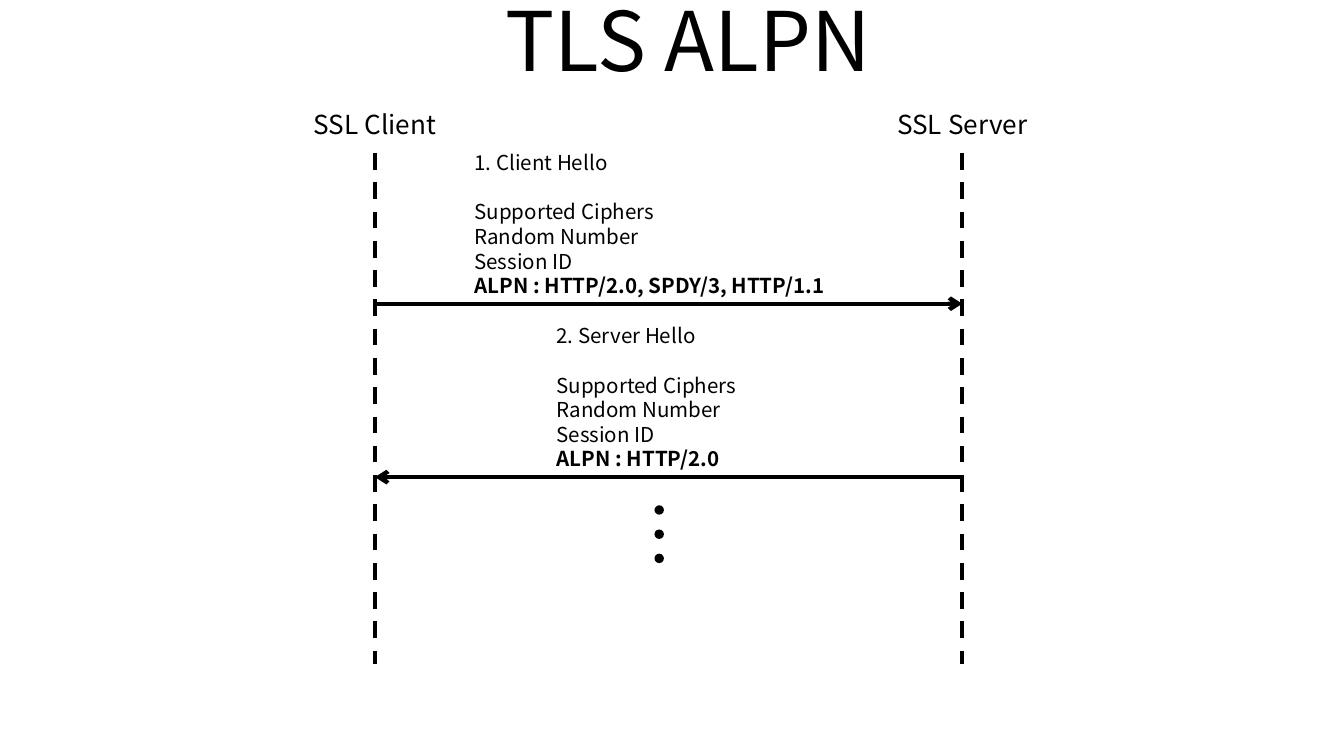
"""Build a sequence diagram slide of the TLS ALPN handshake."""
from lxml.etree import SubElement
from pptx import Presentation
from pptx.dml.color import RGBColor
from pptx.enum.dml import MSO_LINE
from pptx.enum.shapes import MSO_CONNECTOR, MSO_SHAPE
from pptx.enum.text import MSO_ANCHOR, MSO_AUTO_SIZE, PP_ALIGN
from pptx.oxml.ns import qn
from pptx.util import Inches, Pt

COLORS = {"ink": "000000", "paper": "FFFFFF"}
INK = RGBColor.from_string(COLORS["ink"])
FONT = "Noto Sans CJK KR"
CLIENT_X, SERVER_X = 2.79, 7.16
LINE_PITCH = Pt(13.2)


def add_line(x1, y1, x2, y2, dashed=False):
    line = s.shapes.add_connector(
        MSO_CONNECTOR.STRAIGHT, Inches(x1), Inches(y1), Inches(x2), Inches(y2))
    line.line.color.rgb = INK
    line.line.width = Pt(2.25)
    if dashed:
        line.line.dash_style = MSO_LINE.DASH
    else:
        SubElement(line.line._get_or_add_ln(), qn("a:tailEnd"), type="arrow")
    SubElement(line._element.spPr, qn("a:effectLst"))


def write(sp, box, lines, size, align, inset=(0.07, 0.04)):
    sp.left, sp.top, sp.width, sp.height = (Inches(v) for v in box)
    tf = sp.text_frame
    frame = {"word_wrap": True, "auto_size": MSO_AUTO_SIZE.NONE,
             "vertical_anchor": MSO_ANCHOR.MIDDLE,
             "margin_left": Inches(inset[0]), "margin_right": Inches(inset[0]),
             "margin_top": Inches(inset[1]), "margin_bottom": Inches(inset[1])}
    for name, value in frame.items():
        setattr(tf, name, value)
    for i, text in enumerate(lines):
        p = tf.add_paragraph() if i else tf.paragraphs[0]
        p.alignment = align
        r = p.add_run()
        r.text = text
        look = {"name": FONT, "size": Pt(size), "bold": text.startswith("ALPN")}
        for name, value in look.items():
            setattr(r.font, name, value)
        r.font.color.rgb = INK
        if len(lines) > 1:
            p.line_spacing = LINE_PITCH
            p.space_after = Pt(0) if i else LINE_PITCH


prs = Presentation()
prs.slide_width = Inches(10)
prs.slide_height = prs.slide_width * 9 // 16
s = prs.slides.add_slide(prs.slide_layouts[5])
s.background.fill.solid()
s.background.fill.fore_color.rgb = RGBColor.from_string(COLORS["paper"])

write(s.shapes.title, (0.62, -0.18, 9, 0.94), ["TLS ALPN"], 44,
      PP_ALIGN.CENTER, (0.1, 0.05))

for name, x, left, width in (("SSL Client", CLIENT_X, 2, 1.58),
                             ("SSL Server", SERVER_X, 6.25, 1.82)):
    add_line(x, 1.14, x, 4.94, dashed=True)
    write(s.shapes.add_textbox(0, 0, 0, 0), (left, 0.77, width, 0.31),
          [name], 14, PP_ALIGN.CENTER)

messages = (
    ("1. Client Hello", "ALPN : HTTP/2.0, SPDY/3, HTTP/1.1",
     (3.46, 1.07, 3.04, 1.19), CLIENT_X, SERVER_X, 2.26),
    ("2. Server Hello", "ALPN : HTTP/2.0",
     (4.07, 2.36, 1.81, 1.19), SERVER_X, CLIENT_X, 3.55),
)
for heading, alpn, box, start, end, y in messages:
    add_line(start, y, end, y)
    write(s.shapes.add_textbox(0, 0, 0, 0), box,
          [heading, "Supported Ciphers", "Random Number", "Session ID", alpn],
          11, PP_ALIGN.LEFT)

for i in range(3):
    dot = s.shapes.add_shape(MSO_SHAPE.OVAL, Inches(4.87), Inches(3.76 + i * 0.18),
                             Inches(0.07), Inches(0.07))
    dot.shadow.inherit = False
    dot.fill.solid()
    dot.fill.fore_color.rgb = INK
    dot.line.fill.background()

prs.save("out.pptx")
